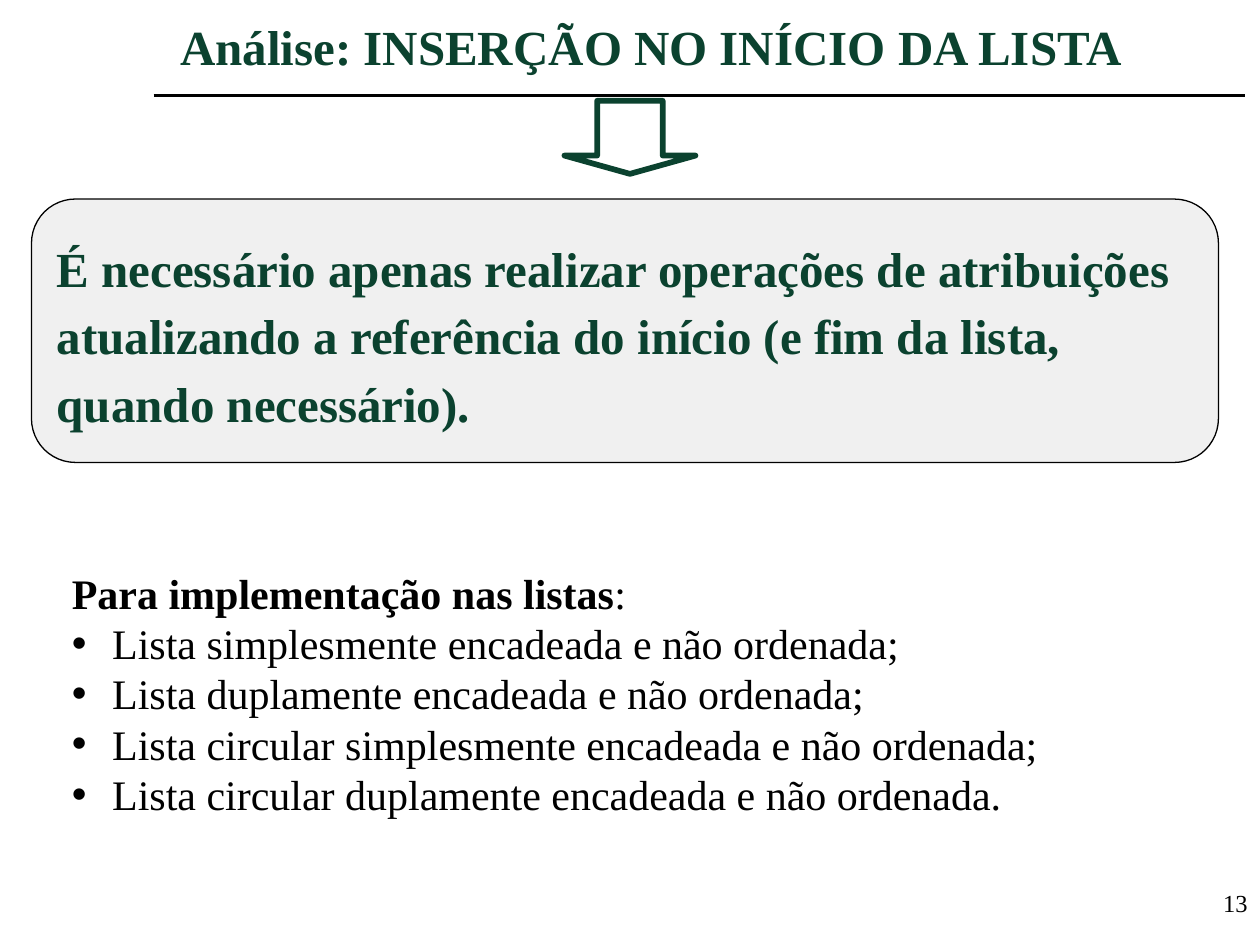
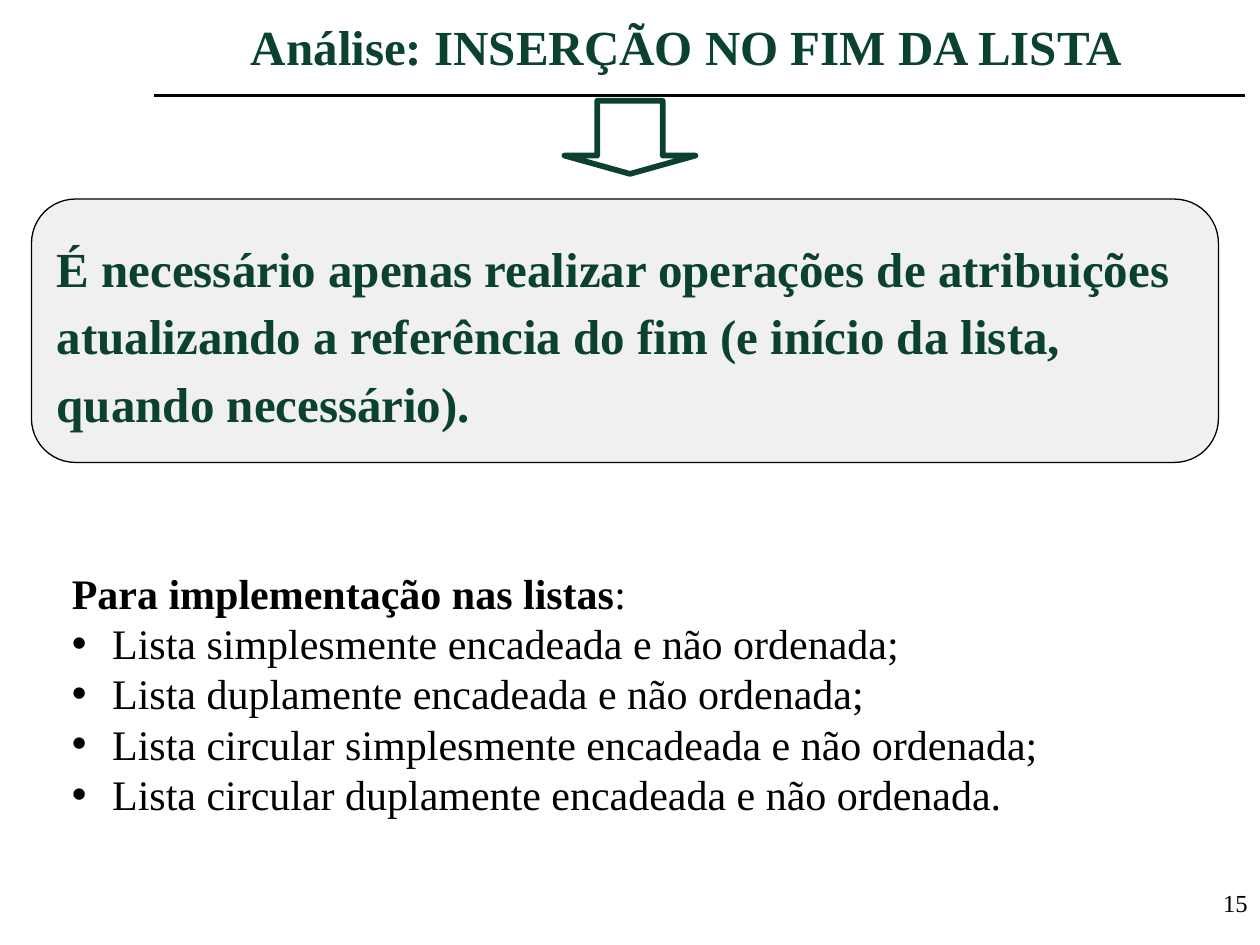
import pptx
import pptx.dml.color
import pptx.enum.shapes
import pptx.enum.text
import pptx.oxml
import pptx.oxml.ns
import pptx.util
from pptx.util import Inches

COLORS = {"green": "0B422F", "black": "000000", "panel": "F0F0F0"}
FONT = "Times New Roman"
ALIGN = pptx.enum.text.PP_ALIGN
ANCHOR = pptx.enum.text.MSO_ANCHOR
SHAPE = pptx.enum.shapes.MSO_SHAPE
BULLET_INDENT = Inches(0.32)

LIST_HEADING = "Para implementação nas listas"
LIST_KINDS = [
    "Lista simplesmente encadeada e não ordenada;",
    "Lista duplamente encadeada e não ordenada;",
    "Lista circular simplesmente encadeada e não ordenada;",
    "Lista circular duplamente encadeada e não ordenada.",
]
# Page number, place of insertion, reference updated, other reference
ANALYSES = [
    (13, "INÍCIO", "início", "fim"),
    (15, "FIM", "fim", "início"),
]


def rgb(name):
    return pptx.dml.color.RGBColor.from_string(COLORS[name])


def set_font(para, size, color, bold=None):
    font = para.font
    font.name, font.size, font.bold = FONT, pptx.util.Pt(size), bold
    font.color.rgb = rgb(color)


def place(shape, left, top, width, height):
    shape.left, shape.top = Inches(left), Inches(top)
    shape.width, shape.height = Inches(width), Inches(height)


def set_frame(frame, anchor=ANCHOR.TOP):
    frame.word_wrap = True
    frame.auto_size = pptx.enum.text.MSO_AUTO_SIZE.NONE
    frame.vertical_anchor = anchor


def set_bullet(para, char=None):
    """Give the paragraph a hanging bullet, or none when char is missing."""
    props = para._p.get_or_add_pPr()
    indent = BULLET_INDENT if char else 0
    props.set("marL", str(indent))
    props.set("indent", str(-indent))
    bullet = pptx.oxml.ns.qn("a:buChar" if char else "a:buNone")
    element = props.makeelement(bullet, {"char": char} if char else {})
    props.append(element)


def add_rule(page):
    rule = page.shapes.add_connector(
        pptx.enum.shapes.MSO_CONNECTOR.STRAIGHT,
        Inches(1.22), Inches(0.76), Inches(9.88), Inches(0.76))
    rule.line.color.rgb = rgb("black")
    rule.line.width = pptx.util.Pt(1.5)
    effects = pptx.oxml.ns.qn("a:effectLst")
    props = rule._element.spPr
    props.append(props.makeelement(effects, {}))


def add_page_number(page, number):
    box = page.shapes.add_textbox(Inches(7.92), Inches(7), Inches(2.08), Inches(0.5))
    set_frame(box.text_frame)
    para = box.text_frame.paragraphs[0]
    para.text = str(number)
    para.alignment = ALIGN.RIGHT
    set_font(para, 14, "black")


def add_outlined(page, kind, at, line_color, line_width, fill=None):
    shape = page.shapes.add_shape(kind, *map(Inches, at))
    shape.shadow.inherit = False
    shape.line.color.rgb = rgb(line_color)
    shape.line.width = pptx.util.Pt(line_width)
    if fill:
        shape.fill.solid()
        shape.fill.fore_color.rgb = rgb(fill)
    else:
        shape.fill.background()
    return shape


def add_conclusion(page, lines):
    panel = add_outlined(page, SHAPE.ROUNDED_RECTANGLE,
                         (0.25, 1.58, 9.42, 2.09), "black", 0.75, "panel")
    frame = panel.text_frame
    set_frame(frame, ANCHOR.MIDDLE)
    frame.margin_top = Inches(0.12)
    frame.text = "\n".join(lines)
    for index, para in enumerate(frame.paragraphs):
        para.alignment = ALIGN.LEFT
        para.space_before = pptx.util.Pt(5 if index else 0)
        set_font(para, 28, "green", True)


def fill_title(page, text):
    title = page.shapes.title
    place(title, 1.33, 0.08, 8.42, 0.57)
    frame = title.text_frame
    set_frame(frame)
    frame.margin_left, frame.margin_right = 0, Inches(0.85)
    frame.text = text
    para = frame.paragraphs[0]
    para.alignment = ALIGN.RIGHT
    set_font(para, 28, "green", True)


def fill_list(page, heading, items):
    body = page.placeholders[1]
    place(body, 0.47, 4.45, 9.05, 2.1)
    frame = body.text_frame
    set_frame(frame)
    frame.text = "\n".join(["", *items])
    first, *rest = frame.paragraphs
    set_bullet(first)
    for text, bold in ((heading, True), (":", False)):
        span = first.add_run()
        span.text, span.font.bold = text, bold
    for para in rest:
        set_bullet(para, "•")
    for para in frame.paragraphs:
        para.space_before = pptx.util.Pt(0)
        set_font(para, 24, "black")


def add_analysis(deck, number, place_name, updated, other):
    page = deck.slides.add_slide(deck.slide_layouts[1])
    add_rule(page)
    add_page_number(page, number)
    add_conclusion(page, [
        "É necessário apenas realizar operações de atribuições",
        f"atualizando a referência do {updated} (e {other} da lista,",
        "quando necessário).",
    ])
    # Arrow from the title down to the conclusion
    arrow = add_outlined(page, SHAPE.DOWN_ARROW, (4.48, 0.8, 1.04, 0.58), "green", 3.25)
    arrow.adjustments[1] = 0.25
    fill_title(page, f"Análise: INSERÇÃO NO {place_name} DA LISTA")
    fill_list(page, LIST_HEADING, LIST_KINDS)


def main():
    deck = pptx.Presentation()
    deck.slide_width, deck.slide_height = Inches(10), Inches(7.5)
    for analysis in ANALYSES:
        add_analysis(deck, *analysis)
    deck.save("out.pptx")


if __name__ == "__main__":
    main()
